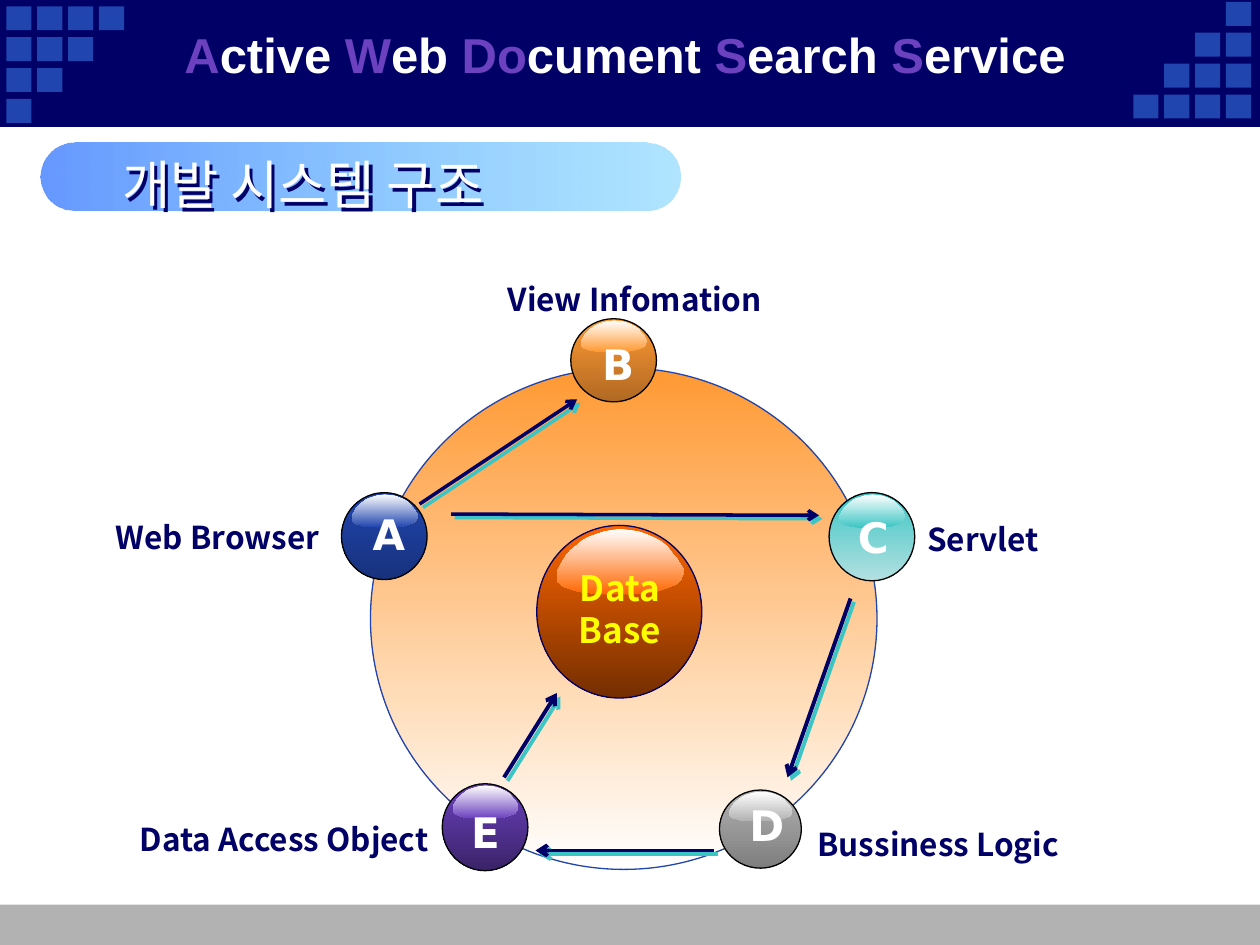
from dataclasses import dataclass
from typing import NamedTuple

from lxml.etree import SubElement
from pptx import Presentation
from pptx.dml.color import RGBColor
from pptx.enum.shapes import MSO_CONNECTOR as Connector
from pptx.enum.shapes import MSO_SHAPE as Preset
from pptx.enum.text import MSO_ANCHOR as Anchor
from pptx.enum.text import MSO_AUTO_SIZE as AutoSize
from pptx.enum.text import PP_ALIGN as Align
from pptx.oxml.ns import qn
from pptx.util import Inches, Pt

COLUMNS, ROWS = 100, 75
CELL = Inches(0.1)


@dataclass(frozen=True)
class Theme:
    navy: str = "000066"
    blue: str = "2045AE"
    purple: str = "6B41BF"
    teal: str = "3DC5C5"
    orange: str = "FF9933"
    flame: str = "FF6600"
    gray: str = "B2B2B2"
    white: str = "FFFFFF"
    black: str = "000000"
    yellow: str = "FFFF00"
    latin: str = "Arial"
    korean: str = "Noto Sans CJK KR"
    badge: str = "DejaVu Sans"
    title_size: int = 28
    heading_size: int = 30
    letter_size: int = 24
    core_size: int = 20
    label_size: int = 18


THEME = Theme()


class Box(NamedTuple):
    """A place on the grid, in columns and rows."""
    left: float
    top: float
    width: float
    height: float

    def emu(self) -> list[int]:
        return [round(value * CELL) for value in self]


class Style(NamedTuple):
    font: str
    size: int
    color: str
    bold: bool = True


class Gradient(NamedTuple):
    start: str
    end: str
    angle: int = 90


class Node(NamedTuple):
    letter: str
    ball: Box
    letter_box: Box
    shade: Gradient
    label: str
    label_box: Box


class Arrow(NamedTuple):
    start: tuple[float, float]
    end: tuple[float, float]
    width: float = 2.25


LETTER = Style(THEME.badge, THEME.letter_size, THEME.white)
LABEL = Style(THEME.korean, THEME.label_size, THEME.navy)

NODES = [
    Node("B", Box(45.3, 25.3, 6.8, 6.6), Box(46.8, 26.4, 4.1, 4.6),
         Gradient(THEME.orange, "B06923"), "View Infomation", Box(39.3, 21.7, 23.1, 4)),
    Node("E", Box(35.1, 62.2, 6.8, 6.9), Box(36.4, 63.5, 3.9, 4.6),
         Gradient(THEME.purple, "3A2367"), "Data Access Object", Box(10.1, 64.6, 25, 4)),
    Node("C", Box(65.8, 39.1, 6.8, 7), Box(67.1, 40.1, 4, 4.6),
         Gradient(THEME.teal, "B3E0E0"), "Servlet", Box(72.6, 40.8, 18.9, 4)),
    Node("D", Box(57.1, 62.7, 6.5, 6.2), Box(58.5, 63, 4.3, 4.6),
         Gradient(THEME.gray, "7E7E7E"), "Bussiness Logic", Box(63.9, 65, 21.7, 4)),
    Node("A", Box(27.1, 39.1, 6.8, 6.9), Box(28.6, 39.9, 4.2, 4.6),
         Gradient(THEME.blue, "17317C"), "Web Browser", Box(8.2, 40.6, 18.9, 4)),
]

ARROWS = [
    Arrow((33.3, 40), (45.8, 31.7), 2),
    Arrow((35.8, 40.8), (65, 40.9), 2),
    Arrow((67.5, 47.5), (62.5, 61.7)),
    Arrow((56.7, 67.5), (42.5, 67.5)),
    Arrow((40, 61.7), (44.2, 55)),
]

# Outline of the highlight on a ball, in percent of its own width and height
GLOSS = [
    (98, 56), (100, 62), (100, 67), (98, 77), (94, 85), (87, 90), (78, 96), (67, 98),
    (60, 100), (36, 100), (27, 98), (18, 96), (11, 92), (5, 88), (1, 81), (0, 73),
    (1, 63), (4, 52), (7, 42), (11, 33), (16, 25), (21, 17), (26, 12), (32, 8),
    (38, 4), (44, 2), (50, 0), (57, 2), (64, 4), (70, 8), (76, 13), (82, 19),
    (87, 27), (91, 37), (95, 46),
]


def paint(shape, fill: str | Gradient, line: str | None = None) -> None:
    shape.shadow.inherit = False
    if isinstance(fill, Gradient):
        shape.fill.gradient()
        shape.fill.gradient_angle = -fill.angle % 360
        for stop, color in zip(shape.fill.gradient_stops, (fill.start, fill.end)):
            stop.color.rgb = RGBColor.from_string(color)
    else:
        shape.fill.solid()
        shape.fill.fore_color.rgb = RGBColor.from_string(fill)
    if line:
        shape.line.color.rgb = RGBColor.from_string(line)
        shape.line.width = Pt(0.75)
    else:
        shape.line.fill.background()


def add_preset(slide, preset: Preset, box: Box, fill: str | Gradient, line: str | None = None):
    shape = slide.shapes.add_shape(preset, *box.emu())
    paint(shape, fill, line)
    return shape


def add_text(slide, box: Box, text: str, style: Style, align: Align = Align.LEFT,
             wrap: bool = True):
    shape = slide.shapes.add_textbox(*box.emu())
    frame = shape.text_frame
    frame.word_wrap = wrap
    frame.auto_size = AutoSize.SHAPE_TO_FIT_TEXT
    paragraph = frame.paragraphs[0]
    paragraph.text = text
    paragraph.alignment = align
    font = paragraph.font
    font.name, font.size, font.bold = style.font, Pt(style.size), style.bold
    font.color.rgb = RGBColor.from_string(style.color)
    for run in paragraph.runs:
        SubElement(run._r.get_or_add_rPr(), qn("a:ea"), typeface=style.font)
    return shape


def add_shadow(shape, color: str) -> None:
    """Cast a hard shadow to the lower right."""
    effects = SubElement(shape._element.spPr, qn("a:effectLst"))
    shadow = SubElement(effects, qn("a:outerShdw"), dist=str(Pt(2.8)), dir="2700000",
                        algn="ctr", rotWithShape="0")
    SubElement(shadow, qn("a:srgbClr"), val=color)


def add_ball(slide, box: Box, shade: Gradient, line: str) -> None:
    """Draw a shaded ball with a highlight near its top."""
    add_preset(slide, Preset.OVAL, box, shade, line)
    left, top, width, height = Box(box.left + 0.12 * box.width, box.top + 0.02 * box.height,
                                   0.77 * box.width, 0.38 * box.height).emu()
    builder = slide.shapes.build_freeform(*GLOSS[0], scale=(width / 100, height / 100))
    builder.add_line_segments(GLOSS[1:], close=True)
    paint(builder.convert_to_shape(left, top), Gradient(THEME.white, shade.start))


def add_arrow(slide, arrow: Arrow) -> None:
    ends = [round(value * CELL) for value in (*arrow.start, *arrow.end)]
    connector = slide.shapes.add_connector(Connector.STRAIGHT, *ends)
    connector.line.color.rgb = RGBColor.from_string(THEME.navy)
    connector.line.width = Pt(arrow.width)
    SubElement(connector.line._get_or_add_ln(), qn("a:tailEnd"), type="arrow")
    add_shadow(connector, THEME.teal)


def add_frame(slide) -> None:
    """Draw the top and bottom bands with stairs of squares in the top corners."""
    add_preset(slide, Preset.RECTANGLE, Box(0, 71.8, COLUMNS, 3.2), THEME.gray)
    add_preset(slide, Preset.RECTANGLE, Box(0, 0, COLUMNS, 10), THEME.navy, THEME.navy)
    steps, pitch, width, height = 4, 2.45, 2, 1.9
    for row in range(steps):
        for column in range(steps - row):
            left, top = 0.5 + column * pitch, 0.5 + row * pitch
            for x, y in ((left, top), (97.8 - left, 8 - top)):
                add_preset(slide, Preset.RECTANGLE, Box(x, y, width, height), THEME.blue)


def add_title(slide) -> None:
    style = Style(THEME.latin, THEME.title_size, THEME.white)
    shape = add_text(slide, Box(9.2, 1.2, 80.8, 6.2), "", style, Align.CENTER)
    shape.text_frame.auto_size = AutoSize.NONE
    shape.text_frame.vertical_anchor = Anchor.MIDDLE
    words = [("A", "ctive "), ("W", "eb "), ("Do", "cument "), ("S", "earch "), ("S", "ervice")]
    for initial, rest in words:
        for text, color in ((initial, THEME.purple), (rest, THEME.white)):
            run = shape.text_frame.paragraphs[0].add_run()
            run.text = text
            run.font.color.rgb = RGBColor.from_string(color)


def add_heading(slide) -> None:
    pill = add_preset(slide, Preset.ROUNDED_RECTANGLE, Box(3.2, 11.3, 50.8, 5.4),
                      Gradient("6699FF", "66CCFF", 0))
    pill.adjustments[0] = 0.5
    SubElement(pill._element.findall(f".//{qn('a:srgbClr')}")[-1], qn("a:alpha"), val="51000")
    style = Style(THEME.korean, THEME.heading_size, THEME.white, bold=False)
    heading = add_text(slide, Box(8.7, 11.6, 37.9, 6.1), "개발 시스템 구조", style)
    add_shadow(heading, THEME.navy)


def main() -> None:
    presentation = Presentation()
    presentation.slide_width, presentation.slide_height = COLUMNS * CELL, ROWS * CELL
    slide = presentation.slides.add_slide(presentation.slide_layouts[6])
    add_frame(slide)
    add_preset(slide, Preset.OVAL, Box(29.4, 29.2, 40.2, 39.8),
               Gradient(THEME.orange, THEME.white), THEME.blue)
    add_ball(slide, Box(42.6, 41.7, 13.1, 13.7), Gradient(THEME.flame, "742E00"), THEME.navy)
    add_text(slide, Box(43.4, 44.5, 11.6, 7.7), "Data\vBase",
             Style(THEME.korean, THEME.core_size, THEME.yellow), Align.CENTER)
    for node in NODES:
        add_ball(slide, node.ball, node.shade, THEME.black)
        add_text(slide, node.letter_box, node.letter, LETTER, wrap=False)
        add_text(slide, node.label_box, node.label, LABEL)
    add_title(slide)
    add_heading(slide)
    for arrow in ARROWS:
        add_arrow(slide, arrow)
    presentation.save("out.pptx")


if __name__ == "__main__":
    main()
